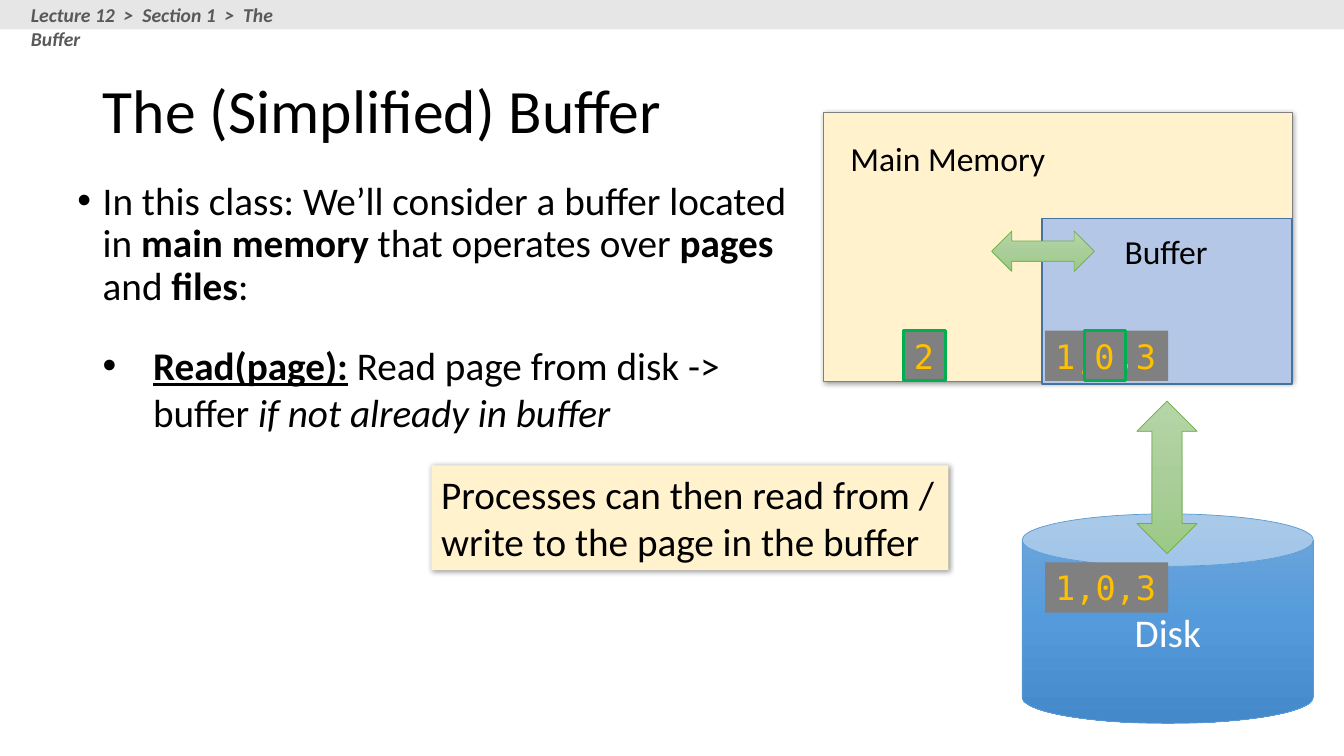
"""Build the lecture slide about the simplified buffer between memory and disk."""
from copy import deepcopy

from pptx import Presentation
from pptx.dml.color import RGBColor
from pptx.enum import shapes, text
from pptx.oxml import ns, parse_xml
from pptx.util import Cm, Pt

BLACK = RGBColor(0x00, 0x00, 0x00)
WHITE = RGBColor(0xFF, 0xFF, 0xFF)
CREAM = RGBColor(0xFF, 0xF2, 0xCC)
GRAY = RGBColor(0x80, 0x80, 0x80)
BAND = RGBColor(0xE7, 0xE6, 0xE6)
CRUMB = RGBColor(0x59, 0x59, 0x59)
BUFFER_BLUE = RGBColor(0xB4, 0xC7, 0xE7)
BUFFER_EDGE = RGBColor(0x43, 0x73, 0x9E)
DISK_EDGE = RGBColor(0x5B, 0x9B, 0xD5)
ARROW_EDGE = RGBColor(0x70, 0xAD, 0x47)
GOLD = RGBColor(0xFF, 0xC0, 0x00)
GREEN = RGBColor(0x00, 0xB0, 0x50)
DISK_SHADES = [RGBColor(0x71, 0xA6, 0xDB), RGBColor(0x55, 0x9B, 0xDB), RGBColor(0x44, 0x8A, 0xCA)]
ARROW_SHADES = [RGBColor(0xB5, 0xD5, 0xA7), RGBColor(0xAA, 0xCE, 0x9A), RGBColor(0x9C, 0xC9, 0x87)]
SHADOW = (
    f'<a:effectLst {ns.nsdecls("a")}><a:outerShdw blurRad="50800" dist="12700" dir="2700000">'
    '<a:srgbClr val="000000"><a:alpha val="40000"/></a:srgbClr></a:outerShdw></a:effectLst>'
)
KIND = shapes.MSO_SHAPE


def add_shape(kind, at, fill, edge=None, width=0.5, shadow=False):
    """Add a preset shape with a plain or three-shade fill."""
    shape = page.shapes.add_shape(kind, *map(Cm, at))
    shape.shadow.inherit = False
    properties = shape._element.spPr
    if isinstance(fill, list):
        shape.fill.gradient()
        shape.fill.gradient_angle = 270
        first = properties.find(".//" + ns.qn("a:gs"))
        first.addnext(deepcopy(first))
        for index, (stop, shade) in enumerate(zip(shape.fill.gradient_stops, fill)):
            stop.position = index / 2
            stop.color.rgb = shade
    else:
        shape.fill.solid()
        shape.fill.fore_color.rgb = fill
    if edge is None:
        shape.line.fill.background()
    else:
        shape.line.color.rgb = edge
        shape.line.width = Pt(width)
    if shadow:
        properties.replace(properties.find(ns.qn("a:effectLst")), parse_xml(SHADOW))
    return shape


def write(box, spans, size, color=BLACK, font="Calibri", wrap=True, indent=0):
    """Fill a box with one left-aligned paragraph of (words, style letters) spans."""
    frame = box.text_frame
    frame.word_wrap = wrap
    frame.vertical_anchor = text.MSO_ANCHOR.TOP
    para = frame.paragraphs[0]
    para.alignment = text.PP_ALIGN.LEFT
    if indent:
        properties = para._p.get_or_add_pPr()
        properties.set("marL", str(Cm(indent)))
        properties.set("indent", str(-Cm(indent)))
        properties.append(parse_xml(f'<a:buFont {ns.nsdecls("a")} typeface="Arial"/>'))
        properties.append(parse_xml(f'<a:buChar {ns.nsdecls("a")} char="•"/>'))
    for words, style in spans:
        span = para.add_run()
        span.text = words
        span.font.name = font
        span.font.size = Pt(size)
        span.font.color.rgb = color
        span.font.bold = "b" in style
        span.font.italic = "i" in style
        span.font.underline = "u" in style
    return para


deck = Presentation()
deck.slide_width, deck.slide_height = Cm(33.87), Cm(19.05)
page = deck.slides.add_slide(deck.slide_layouts[5])

add_shape(KIND.RECTANGLE, (20.75, 2.84, 11.81, 6.78), CREAM, GRAY, shadow=True)
add_shape(KIND.RECTANGLE, (26.26, 5.51, 6.3, 4.17), BUFFER_BLUE, BUFFER_EDGE, 1)
for label, at in [("Main Memory", (21.18, 3.35, 5.46, 1.27)), ("Buffer", (28.09, 5.69, 2.64, 1.27))]:
    write(page.shapes.add_textbox(*map(Cm, at)), [(label, "")], 24, wrap=False)
add_shape(KIND.LEFT_RIGHT_ARROW, (24.99, 5.82, 2.59, 1.02), ARROW_SHADES, ARROW_EDGE)

title = page.shapes.title
title.left, title.top, title.width, title.height = map(Cm, (2.34, 1.02, 29.21, 3.68))
heading = write(title, [("The (Simplified) Buffer", "")], 44)
heading.line_spacing = 0.9
title.text_frame.vertical_anchor = text.MSO_ANCHOR.MIDDLE

intro = page.shapes.add_textbox(Cm(1.7), Cm(4.45), Cm(19.05), Cm(4.04))
intro_para = write(intro, [
    ("In this class: We’ll consider a buffer located in ", ""), ("main memory", "b"),
    (" that operates over ", ""), ("pages", "b"), (" and ", ""), ("files", "b"), (":", ""),
], 28, indent=0.64)
intro_para.line_spacing = 0.9

add_shape(KIND.RECTANGLE, (0, 0, 33.87, 0.74), BAND)
crumb = page.shapes.add_textbox(Cm(0.53), Cm(-0.05), Cm(7.87), Cm(0.86))
write(crumb, [("Lecture 12  >  Section 1  >  The Buffer", "bi")], 14, CRUMB)

disk = add_shape(KIND.CAN, (25.76, 12.95, 7.34, 5.28), DISK_SHADES, DISK_EDGE)
disk_para = write(disk, [("Disk", "")], 28, WHITE)
disk_para.alignment = text.PP_ALIGN.CENTER
disk.text_frame.vertical_anchor = text.MSO_ANCHOR.MIDDLE
add_shape(KIND.UP_DOWN_ARROW, (28.65, 10.11, 1.52, 3.84), ARROW_SHADES, ARROW_EDGE)

read = page.shapes.add_textbox(Cm(2.34), Cm(8.48), Cm(17.68), Cm(2.64))
write(read, [
    ("Read(page):", "bu"), (" ", "b"), ("Read page from disk -> buffer ", ""),
    ("if not already in buffer", "i"),
], 28, indent=1.27)

for label, left, top, width, edge in [
    ("1,0,3", 26.34, 14.17, 3.1, None),
    ("1,0,3", 26.34, 8.33, 3.1, None),
    ("0", 27.33, 8.33, 1.04, GREEN),
    ("2", 22.78, 8.33, 1.04, GREEN),
]:
    cell = add_shape(KIND.RECTANGLE, (left, top, width, 1.27), GRAY, edge, 2)
    write(cell, [(label, "")], 24, GOLD, "DejaVu Sans Mono", wrap=False)

note = add_shape(KIND.RECTANGLE, (10.87, 11.73, 13.03, 2.64), CREAM, shadow=True)
write(note, [("Processes can then read from / write to the page in the buffer", "")], 28)

deck.save("out.pptx")
